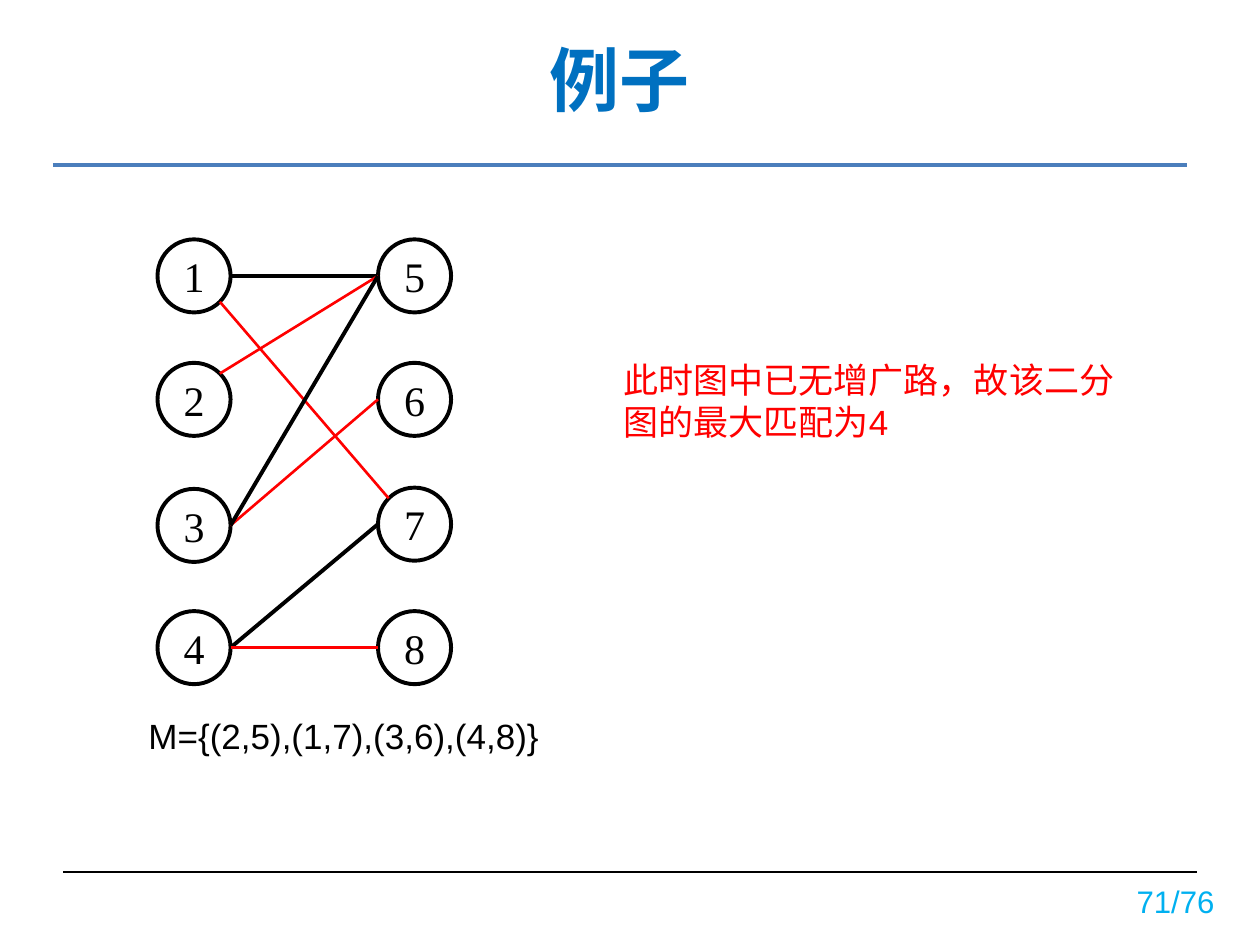
from math import cos, radians, sin

from lxml.etree import SubElement
from pptx import Presentation
from pptx.dml.color import RGBColor
from pptx.enum.shapes import MSO_CONNECTOR as Link, MSO_SHAPE as Shape
from pptx.enum.text import MSO_ANCHOR as Anchor, PP_ALIGN as Align
from pptx.oxml.ns import qn
from pptx.util import Inches, Pt

SIZE = 0.58
ROWS = {1.25: (1.9, 2.88, 3.88, 4.85), 3: (1.9, 2.88, 3.87, 4.85)}
MATCH = {"17", "25", "36", "48"}
EDGES = [("15", 0, 180), ("17", 45, 225), ("25", -45, 180), ("36", 0, 180),
         ("35", 0, 180), ("47", 0, 180), ("48", 0, 180)]


def tint(code):
    return RGBColor.from_string(code)


def style(item, **form):
    for key, val in form.items():
        setattr(item, key, val)


def write(frame, text, size, color, face="Arial", align=Align.LEFT, bold=False, wrap=False):
    style(frame, text=text, word_wrap=wrap)
    for para in frame.paragraphs:
        para.alignment = align
        for run in para.runs:
            style(run.font, name=face, size=Pt(size), bold=bold)
            run.font.color.rgb = tint(color)
            east = SubElement(run.font._element, qn("a:ea"))
            east.set("typeface", "Noto Sans CJK SC")


def rule(slide, start, end, color, width):
    line = slide.shapes.add_connector(Link.STRAIGHT, *map(Inches, start + end))
    line.line.color.rgb = tint(color)
    line.line.width = Pt(width)
    SubElement(line._element.spPr, qn("a:effectLst"))


def label(slide, box, text, size, color, **form):
    frame = slide.shapes.add_textbox(*map(Inches, box)).text_frame
    write(frame, text, size, color, **form)
    return frame


def head(slide, left, top, width):
    title = slide.shapes.title
    style(title, left=Inches(left), top=Inches(top), width=Inches(width), height=Inches(1.14))
    title.text_frame.vertical_anchor = Anchor.MIDDLE
    write(title.text_frame, "例子", 40, "0070C0", face="Noto Sans CJK SC",
          align=Align.CENTER, bold=True, wrap=True)
    rule(slide, (left, top + 1.26), (left + width, top + 1.26), "4B7EBC", 2.75)


def foot(slide, left, top, width):
    rule(slide, (left, top), (left + width, top), "000000", 0.75)
    frame = label(slide, (left + 8.36, top - 0.26, 0.94, 0.98), "71/76", 17.8, "00B0F0",
                  align=Align.CENTER)
    frame.vertical_anchor = Anchor.MIDDLE


def node(slide, left, top, name):
    ring = slide.shapes.add_shape(Shape.OVAL, *map(Inches, (left, top, SIZE, SIZE)))
    ring.shadow.inherit = False
    ring.fill.background()
    ring.line.color.rgb = tint("000000")
    ring.line.width = Pt(2.25)
    ring.text_frame.vertical_anchor = Anchor.MIDDLE
    write(ring.text_frame, name, 24, "000000", face="Times New Roman", align=Align.CENTER)


def rim(spot, turn):
    angle, half = radians(turn), SIZE / 2
    left, top = spot
    return left + half + half * cos(angle), top + half + half * sin(angle)


def graph(slide, left, top):
    spots = [(left + col - 1.25, top + row - 1.9) for col, rows in ROWS.items() for row in rows]
    nodes = {str(num): spot for num, spot in enumerate(spots, 1)}
    for name, spot in nodes.items():
        node(slide, *spot, name)
    for pair, out, into in EDGES:
        color, width = ("FF0000", 1.5) if pair in MATCH else ("000000", 2.25)
        rule(slide, rim(nodes[pair[0]], out), rim(nodes[pair[1]], into), color, width)
    label(slide, (left - 0.17, top + 3.72, 3.32, 0.44), "M={(2,5),(1,7),(3,6),(4,8)}", 20, "000000")


def note(slide, box):
    label(slide, box, "此时图中已无增广路，故该二分\n图的最大匹配为4", 20, "FF0000")


def main():
    deck = Presentation()
    style(deck, slide_width=Inches(10), slide_height=Inches(7.5))
    slide = deck.slides.add_slide(deck.slide_layouts[5])
    head(slide, 0.42, 0.05, 9)
    foot(slide, 0.5, 6.92, 9)
    graph(slide, 1.25, 1.9)
    note(slide, (4.85, 2.8, 4.13, 0.77))
    deck.save("out.pptx")


if __name__ == "__main__":
    main()
